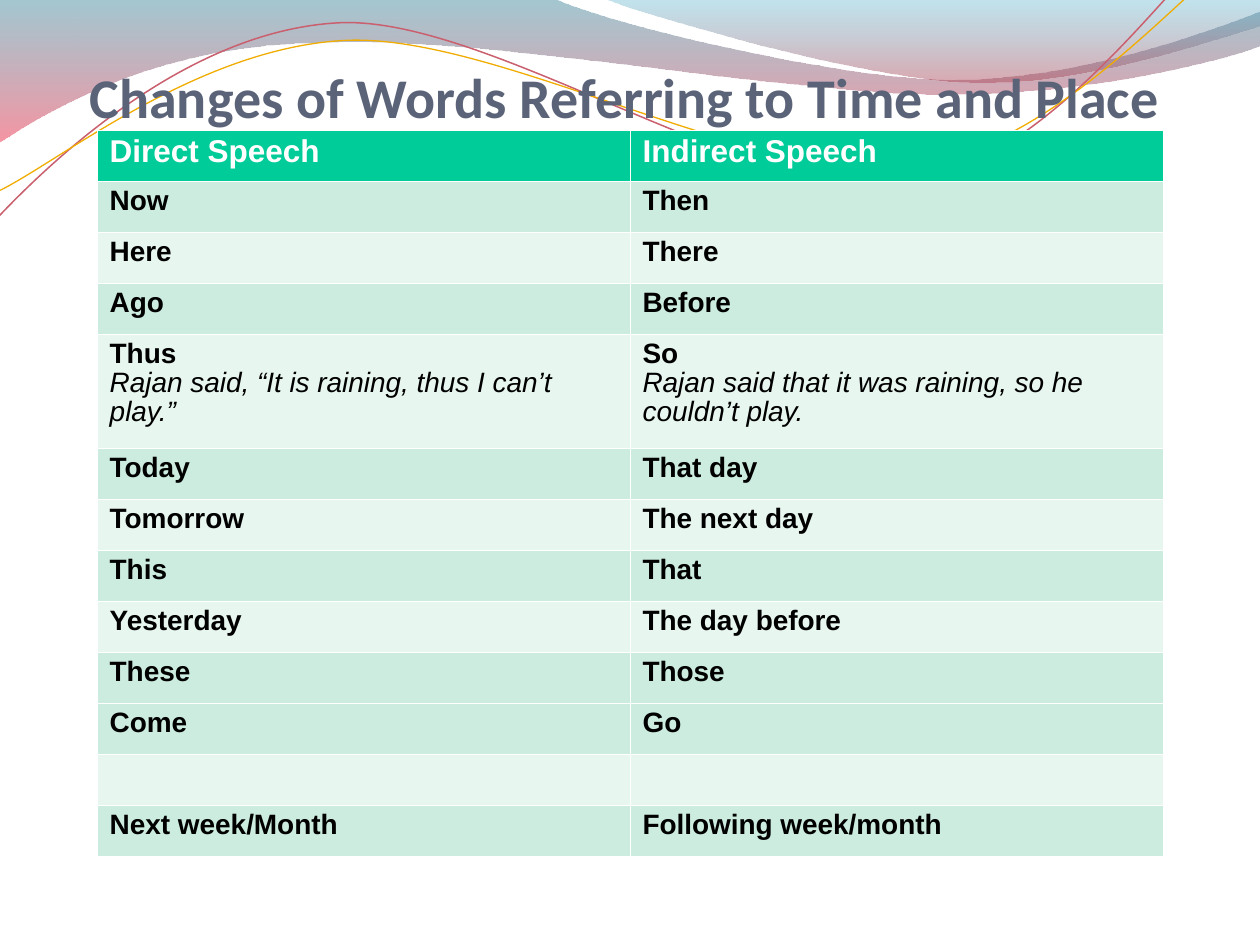
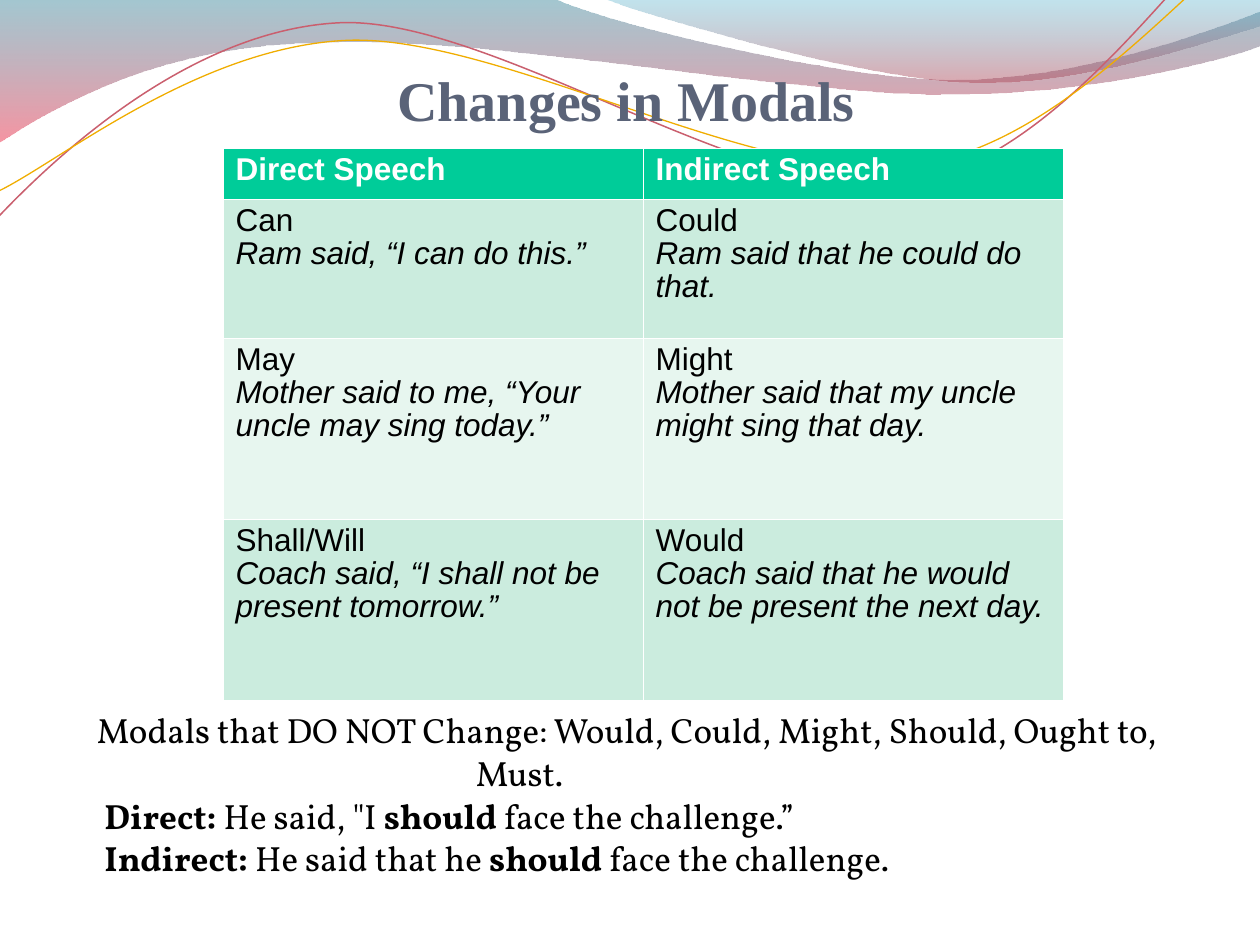
from dataclasses import dataclass

from lxml.etree import SubElement
from pptx import Presentation
from pptx.dml.color import RGBColor
from pptx.enum.text import MSO_ANCHOR, MSO_AUTO_SIZE, PP_ALIGN
from pptx.oxml.ns import qn
from pptx.util import Pt


@dataclass(frozen=True)
class Theme:
    title: RGBColor = RGBColor(0x5A, 0x63, 0x78)
    ink: RGBColor = RGBColor(0, 0, 0)
    white: RGBColor = RGBColor(255, 255, 255)
    header: RGBColor = RGBColor(0, 0xCC, 0x99)
    dark_band: RGBColor = RGBColor(0xCB, 0xEC, 0xDE)
    light_band: RGBColor = RGBColor(0xE7, 0xF6, 0xEF)
    title_size: Pt = Pt(32)
    header_size: Pt = Pt(18)
    note_size: Pt = Pt(20)
    table_font: str = "Arial"
    note_font: str = "Vollkorn"


theme = Theme()
HEADINGS = ("Direct Speech", "Indirect Speech")


def draw_wave(page, start, segments, closed):
    """Pairs are straight segments; six numbers are a cubic curve."""
    points = [(Pt(s[i]), Pt(s[i + 1])) for s in segments for i in range(0, len(s), 2)]
    builder = page.shapes.build_freeform(Pt(start[0]), Pt(start[1]))
    builder.add_line_segments(points, close=closed)
    wave = builder.convert_to_shape()
    wave.shadow.inherit = False
    outline = next(wave.element.iter(qn("a:path")))
    steps = iter(outline.findall(qn("a:lnTo")))
    for segment in segments:
        curve = next(steps)
        if len(segment) == 6:
            curve.tag = qn("a:cubicBezTo")
            for _ in range(2):
                step = next(steps)
                curve.append(step[0])
                outline.remove(step)
    return wave


def add_speech_table(page, left, top, width, heights, rows, bands, size, bold_words):
    frame = page.shapes.add_table(len(heights), 2, Pt(left), Pt(top), Pt(width), Pt(sum(heights)))
    table = frame.table
    table.horz_banding = False
    for row, height in zip(table.rows, heights):
        row.height = Pt(height)
    for r, texts in enumerate([HEADINGS, *rows]):
        for c, text in enumerate(texts):
            cell = table.cell(r, c)
            properties = cell._tc.get_or_add_tcPr()
            for side in ("L", "R", "T", "B"):
                heavy = (r, side) in ((0, "B"), (1, "T"))
                border = SubElement(properties, qn(f"a:ln{side}"), w=str(Pt(0.75 if heavy else 0.23)))
                SubElement(SubElement(border, qn("a:solidFill")), qn("a:srgbClr"), val=str(theme.white))
            cell.fill.solid()
            band = theme.dark_band if bands[r - 1] == "d" else theme.light_band
            cell.fill.fore_color.rgb = theme.header if r == 0 else band
            para = cell.text_frame.paragraphs[0]
            para.line_spacing = 0.93
            para.font.name = theme.table_font
            para.font.size = size if r else theme.header_size
            para.font.color.rgb = theme.ink if r else theme.white
            word, _, example = text.partition("\n")
            if word:
                span = para.add_run()
                span.text = word
                span.font.bold = bold_words or r == 0
            if example:
                para.add_line_break()
                span = para.add_run()
                span.text = example
                span.font.bold = False
                span.font.italic = True


deck = Presentation()
deck.slide_width, deck.slide_height = Pt(720), Pt(540)
place_page = deck.slides.add_slide(deck.slide_layouts[5])
modal_page = deck.slides.add_slide(deck.slide_layouts[1])

# Waves shared by every page, kept on the slide master
filled_waves = [
    ((0, -0.7), [(316.8, -0.7), (342.7, 12.2, 478.1, 45.4, 545.8, 45.4),
                 (614.2, 45.4, 689.8, 18.7, 720, 6.5), (720.7, 25.9),
                 (707.8, 31.7, 626.4, 54.7, 537.1, 54), (447.8, 54, 275, 20.2, 185, 24.5),
                 (92.9, 25.2, 33.1, 59.8, -0.7, 81.4)],
     (("3C899D", 47), ("EF435B", 57))),
    ((344.9, -0.7), [(366.5, 7.9, 491, 44.6, 553.7, 46.8),
                     (616.3, 49.7, 691.9, 23, 720, 15.1), (720, 0)],
     (("40AAC7", 32), ("B64050", 47))),
]
line_waves = [
    ((-2.9, 126), [(31, 90, 108.7, 16.6, 195.1, 13), (281.5, 10.1, 429.8, 116.6, 517, 105.1),
                   (604.1, 93.6, 676.8, -23, 719.3, -56.2)], "CA5F6E", 0.85),
    ((-2.9, 110.2), [(31, 95, 113, 25.9, 200.2, 23), (287.3, 20.9, 432.7, 105.8, 519.1, 95),
                     (606.2, 85, 679, -10.8, 721.4, -38.2)], "F0AD00", 0.75),
]
waves = []
for start, segments, colours in filled_waves:
    wave = draw_wave(place_page, start, segments, True)
    wave.fill.gradient()
    wave.fill.gradient_angle = 270
    for stop, (colour, _) in zip(wave.fill.gradient_stops, colours):
        stop.color.rgb = RGBColor.from_string(colour)
    for element, (_, opacity) in zip(wave.element.iter(qn("a:srgbClr")), colours):
        SubElement(element, qn("a:alpha"), val=str(opacity * 1000))
    wave.line.fill.background()
    waves.append(wave)
for start, segments, colour, weight in line_waves:
    wave = draw_wave(place_page, start, segments, False)
    wave.fill.background()
    wave.line.color.rgb = RGBColor.from_string(colour)
    wave.line.width = Pt(weight)
    waves.append(wave)
for position, wave in enumerate(waves, start=2):
    deck.slide_master.shapes.element.insert(position, wave.element)

# Titles
for page, text, font, left, top in [
    (place_page, "Changes of Words Referring to Time and Place", "Calibri", 30.2, 9.6),
    (modal_page, "Changes in Modals", "Times New Roman", 31, 10.8),
]:
    title = page.shapes.title
    title.left, title.top, title.width, title.height = Pt(left), Pt(top), Pt(653.8), Pt(64.8)
    box = title.text_frame
    box.auto_size = MSO_AUTO_SIZE.NONE
    box.vertical_anchor = MSO_ANCHOR.BOTTOM
    box.margin_left = box.margin_right = box.margin_bottom = 0
    box.text = text
    para = box.paragraphs[0]
    para.alignment = PP_ALIGN.CENTER
    para.font.name = font
    para.font.size = theme.title_size
    para.font.bold = True
    para.font.color.rgb = theme.title

# Time and place words
place_rows = [
    ("Now", "Then"),
    ("Here", "There"),
    ("Ago", "Before"),
    ("Thus\nRajan said, “It is raining, thus I can’t play.”",
     "So\nRajan said that it was raining, so he couldn’t play."),
    ("Today", "That day"),
    ("Tomorrow", "The next day"),
    ("This", "That"),
    ("Yesterday", "The day before"),
    ("These", "Those"),
    ("Come", "Go"),
    ("", ""),
    ("Next week/Month", "Following week/month"),
]
place_heights = [65 if "\n" in direct else 29.15 for direct, _ in [HEADINGS, *place_rows]]
add_speech_table(place_page, 55.5, 74.5, 609, place_heights, place_rows, "dldldldlddld", Pt(16), True)

# Modals
modal_rows = [
    ("Can\nRam said, “I can do this.”", "Could\nRam said that he could do that."),
    ("May\nMother said to me, “Your uncle may sing today.”",
     "Might\nMother said that my uncle might sing that day."),
    ("Shall/Will\nCoach said, “I shall not be present tomorrow.”",
     "Would\nCoach said that he would not be present the next day."),
]
add_speech_table(modal_page, 127.5, 84.8, 480, [29, 79.4, 103.5, 103.5], modal_rows, "dld", Pt(18), False)

# Each line: indent, then runs that alternate between bold and regular
notes = [
    (0, ("", "Modals that DO NOT Change: Would, Could, Might, Should, Ought to,")),
    (216.5, ("", "Must.")),
    (4.3, ("Direct: ", "He said, \"I ", "should ", "face the challenge.”")),
    (4.3, ("Indirect: ", "He said that he ", "should", " face the challenge.")),
]
body = modal_page.placeholders[1]
body.left, body.top, body.width, body.height = Pt(48.2), Pt(401), Pt(660), Pt(110)
box = body.text_frame
box.auto_size = MSO_AUTO_SIZE.NONE
for number, (indent, texts) in enumerate(notes):
    para = box.paragraphs[0] if number == 0 else box.add_paragraph()
    properties = para._p.get_or_add_pPr()
    properties.set("marL", str(Pt(indent)))
    properties.set("indent", "0")
    SubElement(properties, qn("a:buNone"))
    para.line_spacing = Pt(24.4)
    para.space_before = Pt(0)
    para.font.name = theme.note_font
    para.font.size = theme.note_size
    para.font.color.rgb = theme.ink
    for order, text in enumerate(texts):
        if text:
            span = para.add_run()
            span.text = text
            span.font.bold = order % 2 == 0

deck.save("out.pptx")
